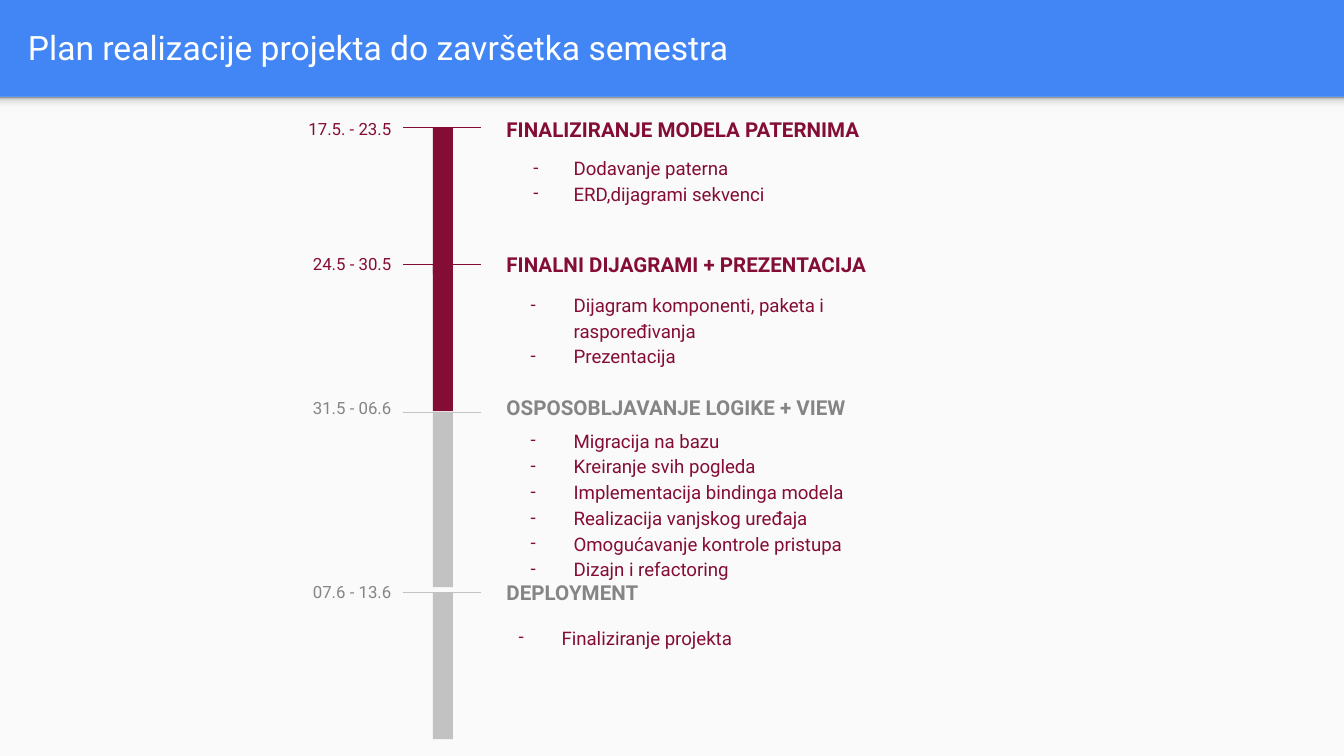
from collections import namedtuple

from lxml import etree
from pptx import Presentation
from pptx.dml.color import RGBColor
from pptx.enum.shapes import MSO_CONNECTOR, MSO_SHAPE
from pptx.enum.text import MSO_ANCHOR, PP_ALIGN
from pptx.oxml.ns import qn
from pptx.util import Inches, Pt

RECT = MSO_SHAPE.RECTANGLE
STRAIGHT = MSO_CONNECTOR.STRAIGHT
LEFT, RIGHT = PP_ALIGN.LEFT, PP_ALIGN.RIGHT
TOP, MIDDLE = MSO_ANCHOR.TOP, MSO_ANCHOR.MIDDLE

COLORS = {
    "header": "4285F4",
    "page": "FAFAFA",
    "white": "FFFFFF",
    "wine": "840D35",
    "bar": "C2C2C2",
    "muted": "858585",
}
SHADE = [(0, "F9F9F9"), (36, "F9F9F9"), (80, "DEDEDE"), (100, "999999")]

Phase = namedtuple(
    "Phase", "row bar_rows bar ink date title items date_up title_up list_down list_col indent"
)
PHASES = [
    Phase(9.5, 10.9, "wine", "wine", "17.5. - 23.5", "FINALIZIRANJE MODELA PATERNIMA",
          ["Dodavanje paterna", "ERD,dijagrami sekvenci"], 1.8, 2.1, 0.9, 36.7, 3),
    Phase(19.7, 10.9, "wine", "wine", "24.5 - 30.5", "FINALNI DIJAGRAMI + PREZENTACIJA",
          ["Dijagram komponenti, paketa i raspoređivanja", "Prezentacija"],
          1.9, 2.2, 0.9, 36.7, 3.2),
    Phase(30.7, 13, "bar", "muted", "31.5 - 06.6", "OSPOSOBLJAVANJE LOGIKE + VIEW",
          ["Migracija na bazu", "Kreiranje svih pogleda", "Implementacija bindinga modela",
           "Realizacija vanjskog uređaja", "Omogućavanje kontrole pristupa",
           "Dizajn i refactoring"], 2.2, 2.6, 0, 36.7, 3.2),
    Phase(44.1, 10.9, "bar", "muted", "07.6 - 13.6", "DEPLOYMENT",
          ["Finaliziranje projekta"], 1.9, 2.2, 1.3, 35.8, 3.2),
]


class Deck:
    font = "Roboto"
    cell = Inches(0.1)

    def __init__(self, prs):
        self.s = prs.slides.add_slide(prs.slide_layouts[6])

    def grid(self, *cells):
        return [round(c * self.cell) for c in cells]

    def color(self, name):
        return RGBColor.from_string(COLORS[name])

    def background(self, color):
        fill = self.s.background.fill
        fill.solid()
        fill.fore_color.rgb = self.color(color)

    def rect(self, box, color):
        sp = self.s.shapes.add_shape(RECT, *self.grid(*box))
        sp.shadow.inherit = False
        sp.line.fill.background()
        sp.fill.solid()
        sp.fill.fore_color.rgb = self.color(color)
        return sp

    def shade(self, box, stops):
        sp = self.rect(box, "page")
        sp.fill.gradient()
        sp.fill.gradient_angle = 90
        gs_list = sp._element.spPr.find(".//" + qn("a:gsLst"))
        for gs in list(gs_list):
            gs_list.remove(gs)
        for pos, color in stops:
            gs = etree.SubElement(gs_list, qn("a:gs"), pos=str(pos * 1000))
            etree.SubElement(gs, qn("a:srgbClr"), val=color)

    def line(self, start, end, color):
        sp = self.s.shapes.add_connector(STRAIGHT, *self.grid(*start, *end))
        sp.line.color.rgb = self.color(color)
        sp.line.width = Pt(0.75)
        etree.SubElement(sp._element.spPr, qn("a:effectLst"))

    def text(self, box, lines, size, color, bold=False, align=LEFT, anchor=TOP,
             spacing=1.15, indent=None):
        tf = self.s.shapes.add_textbox(*self.grid(*box)).text_frame
        tf.word_wrap = True
        tf.vertical_anchor = anchor
        tf.margin_left = tf.margin_right = tf.margin_top = tf.margin_bottom = self.cell
        tf.text = "\n".join(lines)
        for p in tf.paragraphs:
            p.alignment = align
            p.line_spacing = spacing
            if indent:
                self.bullet(p, indent, color)
            for r in p.runs:
                r.font.name = self.font
                r.font.size = Pt(size)
                r.font.bold = bold
                r.font.color.rgb = self.color(color)

    def bullet(self, p, indent, color):
        margin, hanging = self.grid(5, -indent)
        pPr = p._p.get_or_add_pPr()
        pPr.set("marL", str(margin))
        pPr.set("indent", str(hanging))
        bu_color = etree.SubElement(pPr, qn("a:buClr"))
        etree.SubElement(bu_color, qn("a:srgbClr"), val=COLORS[color])
        etree.SubElement(pPr, qn("a:buFont"), typeface=self.font)
        etree.SubElement(pPr, qn("a:buChar"), char="-")

    def phase(self, ph):
        self.rect((32.2, ph.row, 1.5, ph.bar_rows), ph.bar)
        self.line((35.8, ph.row), (30, ph.row), ph.bar)
        self.text((36.7, ph.row - ph.title_up, 29.8, 3), [ph.title], 11, ph.ink, bold=True)
        self.text((ph.list_col, ph.row + ph.list_down, 29.8, 4.5), ph.items, 10, "wine",
                  indent=ph.indent)
        self.text((21.8, ph.row - ph.date_up, 8.3, 3.8), [ph.date], 9, ph.ink, align=RIGHT)


def main():
    prs = Presentation()
    prs.slide_width = Inches(10)
    prs.slide_height = prs.slide_width * 9 // 16
    deck = Deck(prs)
    deck.background("header")
    deck.rect((0, 7.2, 100, 49.05), "page")
    deck.shade((0, 7.2, 100, 1.2), SHADE)
    deck.text((1.1, 0.2, 96.5, 6.6), ["Plan realizacije projekta do završetka semestra"],
              18, "white", anchor=MIDDLE, spacing=1)
    for ph in reversed(PHASES):
        deck.phase(ph)
    prs.save("out.pptx")


if __name__ == "__main__":
    main()
